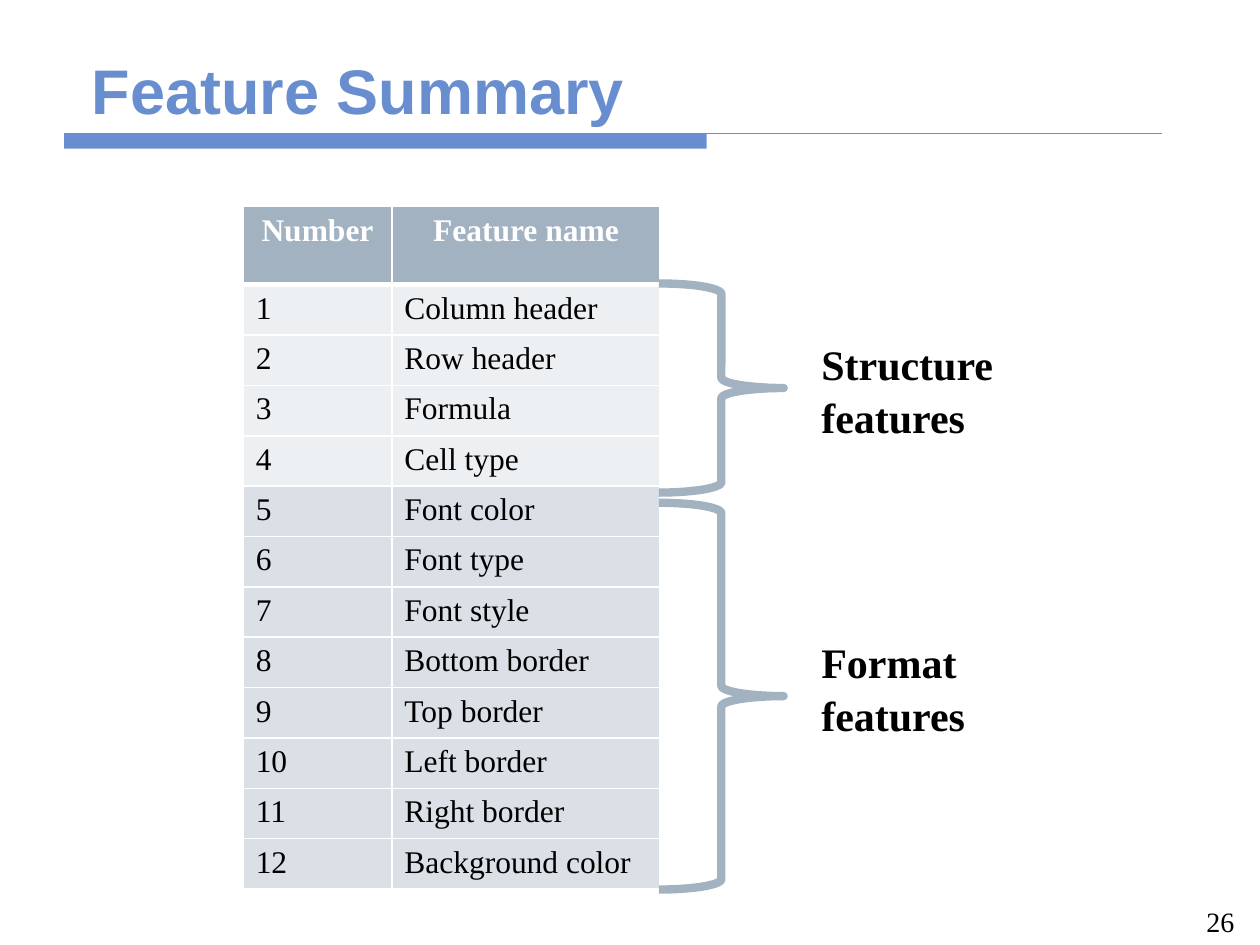
import typing

import pptx
import pptx.dml.color
import pptx.enum.shapes
import pptx.enum.text
import pptx.oxml
import pptx.oxml.ns
import pptx.util

ALIGN = pptx.enum.text.PP_ALIGN
ANCHOR = pptx.enum.text.MSO_ANCHOR
SHAPE = pptx.enum.shapes.MSO_SHAPE
WIDE, HIGH = pptx.util.Inches(10), pptx.util.Inches(7.5)
BLUE, SLATE, WHITE, BLACK = "698ECF", "A3B2C1", "FFFFFF", "000000"
SERIF = "Times New Roman"


class Box(typing.NamedTuple):
    """Left, top, width and height in percent of the slide's size."""
    left: float
    top: float
    wide: float
    high: float

    def emu(self) -> list[int]:
        sides = (WIDE, HIGH, WIDE, HIGH)
        return [round(share * side / 100) for share, side in zip(self, sides)]


class Label(typing.NamedTuple):
    text: str
    box: Box
    font: dict
    align: ALIGN = ALIGN.LEFT
    anchor: ANCHOR = ANCHOR.TOP
    space: float = 1.0


class Group(typing.NamedTuple):
    fill: str
    brace: Box
    names: list[str]


TITLE = {"name": "Arial", "size": 36, "bold": True, "color": BLUE}
PAGE = {"name": SERIF, "size": 16, "bold": False, "color": BLACK}
SIDE = {"name": SERIF, "size": 24, "bold": True, "color": BLACK}
HEAD = {"name": SERIF, "size": 18, "bold": True, "color": WHITE}
BODY = HEAD | {"bold": False, "color": BLACK}

LABELS = [
    Label("Feature Summary", Box(6.3, 4.4, 87.5, 9.73), TITLE, anchor=ANCHOR.BOTTOM),
    Label("26", Box(93.7, 95.07, 6.3, 4.67), PAGE, ALIGN.CENTER),
    Label("Structure features", Box(64.2, 34.93, 22.8, 16.13), SIDE, space=1.05),
    Label("Format features", Box(64.2, 66.4, 22.8, 16.13), SIDE, space=1.05),
]
GROUPS = [
    Group("EDF0F3", Box(52.3, 30, 9.9, 22.13),
          ["Column header", "Row header", "Formula", "Cell type"]),
    Group("DAE0E6", Box(52.3, 53.2, 9.9, 40.93),
          ["Font color", "Font type", "Font style", "Bottom border", "Top border",
           "Left border", "Right border", "Background color"]),
]
GRID = Box(19.3, 21.87, 33.1, 72.27)
COLS = (11.8, 21.3)
HEAD_ROW, BODY_ROW = 8.27, 5.33


def rgb(code: str) -> pptx.dml.color.RGBColor:
    return pptx.dml.color.RGBColor.from_string(code)


def style(font, form: dict) -> None:
    for key, value in form.items():
        if key == "color":
            font.color.rgb = rgb(value)
        else:
            setattr(font, key, pptx.util.Pt(value) if key == "size" else value)


def write(frame, text: str, form: dict, align: ALIGN) -> None:
    para = frame.paragraphs[0]
    para.alignment = align
    run = para.add_run()
    run.text = text
    style(run.font, form)


def draw_label(slide, label: Label) -> None:
    frame = slide.shapes.add_textbox(*label.box.emu()).text_frame
    frame.word_wrap = True
    frame.vertical_anchor = label.anchor
    write(frame, label.text, label.font, label.align)
    frame.paragraphs[0].line_spacing = label.space


def draw_rule(slide) -> None:
    """Thick bar under the title with a thin line running on to the right."""
    bar = slide.shapes.add_shape(SHAPE.RECTANGLE, *Box(5.1, 14.13, 51, 1.6).emu())
    bar.shadow.inherit = False
    bar.fill.solid()
    bar.fill.fore_color.rgb = rgb(BLUE)
    bar.line.fill.background()
    left, top, wide, _ = Box(5.1, 14.13, 87.1, 0).emu()
    line = slide.shapes.add_connector(
        pptx.enum.shapes.MSO_CONNECTOR.STRAIGHT, left, top, left + wide, top)
    line.line.color.rgb = rgb(BLUE)
    line.line.width = pptx.util.Pt(0.75)
    props = line.element.spPr
    props.append(props.makeelement(pptx.oxml.ns.qn("a:effectLst")))


def draw_brace(slide, box: Box) -> None:
    brace = slide.shapes.add_shape(SHAPE.RIGHT_BRACE, *box.emu())
    brace.shadow.inherit = False
    brace.fill.background()
    brace.line.color.rgb = rgb(SLATE)
    brace.line.width = pptx.util.Pt(4.75)


def edge(cell, top: float, low: float) -> None:
    """White borders; top and low are widths in points."""
    props = cell._tc.get_or_add_tcPr()
    sides = {"lnL": 1, "lnR": 1, "lnT": top, "lnB": low}
    for spot, (tag, width) in enumerate(sides.items()):
        props.insert(spot, pptx.oxml.parse_xml(
            f'<a:{tag} {pptx.oxml.ns.nsdecls("a")} w="{pptx.util.Pt(width)}">'
            f'<a:solidFill><a:srgbClr val="{WHITE}"/></a:solidFill></a:{tag}>'))


def draw_table(slide) -> None:
    rows = [("Number", "Feature name", SLATE)]
    for group in GROUPS:
        for name in group.names:
            rows.append((str(len(rows)), name, group.fill))
    table = slide.shapes.add_table(len(rows), len(COLS), *GRID.emu()).table
    for col, share in zip(table.columns, COLS):
        col.width = round(WIDE * share / 100)
    for r, (*texts, fill) in enumerate(rows):
        head = r == 0
        table.rows[r].height = round(HIGH * (HEAD_ROW if head else BODY_ROW) / 100)
        for c, text in enumerate(texts):
            cell = table.cell(r, c)
            cell.fill.solid()
            cell.fill.fore_color.rgb = rgb(fill)
            edge(cell, 3 if r == 1 else 1, 3 if head else 1)
            write(cell.text_frame, text, HEAD if head else BODY,
                  ALIGN.CENTER if head else ALIGN.LEFT)


def main() -> None:
    deck = pptx.Presentation()
    deck.slide_width, deck.slide_height = WIDE, HIGH
    slide = deck.slides.add_slide(deck.slide_layouts[6])
    draw_rule(slide)
    draw_table(slide)
    for group in GROUPS:
        draw_brace(slide, group.brace)
    for label in LABELS:
        draw_label(slide, label)
    deck.save("out.pptx")


if __name__ == "__main__":
    main()
